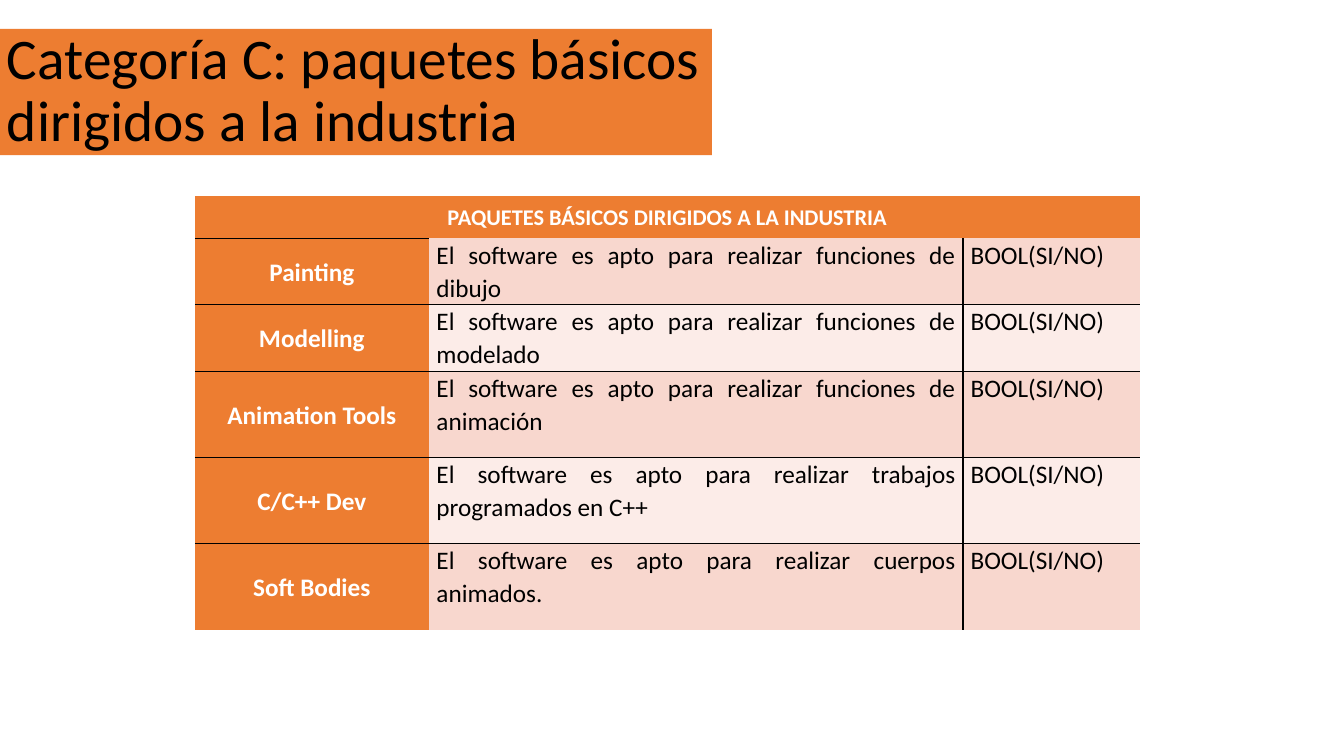
from dataclasses import dataclass

from lxml import etree
from pptx import Presentation
from pptx.dml.color import RGBColor
from pptx.enum.text import MSO_ANCHOR, MSO_AUTO_SIZE, PP_ALIGN
from pptx.oxml.ns import qn
from pptx.util import Cm, Pt

CENTER, JUSTIFY, LEFT = PP_ALIGN.CENTER, PP_ALIGN.JUSTIFY, PP_ALIGN.LEFT
TOP, MIDDLE = MSO_ANCHOR.TOP, MSO_ANCHOR.MIDDLE

TITLE = "Categoría C: paquetes básicos dirigidos a la industria"
HEADER = "PAQUETES BÁSICOS DIRIGIDOS A LA INDUSTRIA"
ANSWER = "BOOL(SI/NO)"
PACKAGES = [
    ("Painting", "El software es apto para realizar funciones de dibujo"),
    ("Modelling", "El software es apto para realizar funciones de modelado"),
    ("Animation Tools", "El software es apto para realizar funciones de animación"),
    ("C/C++ Dev", "El software es apto para realizar trabajos programados en C++"),
    ("Soft Bodies", "El software es apto para realizar cuerpos animados."),
]

SLIDE_SIZE = (33.87, 19.05)
TITLE_BOX = (-0.08, 0.73, 18.02, 3.18)
TABLE_CORNER = (4.91, 4.93)
COL_WIDTHS = (5.9, 13.46, 4.45)
ROW_HEIGHTS = (1.07, 1.68, 1.68, 2.17, 2.17, 2.17)


@dataclass(frozen=True)
class Theme:
    font: str = "Calibri"
    accent: str = "ED7D31"
    bands: tuple = ("F8D7CE", "FCECE8")
    dark: str = "000000"
    light: str = "FFFFFF"
    title_size: float = 41
    header_size: float = 16
    body_size: float = 18
    border: float = 1


THEME = Theme()


def paint(obj, color):
    obj.fill.solid()
    obj.fill.fore_color.rgb = RGBColor.from_string(color)


def write(tf, text, size, color, align, spacing, bold=False):
    tf.text = text
    p = tf.paragraphs[0]
    p.alignment, p.line_spacing = align, spacing
    font = p.runs[0].font
    font.name, font.size, font.bold = THEME.font, Pt(size), bold
    font.color.rgb = RGBColor.from_string(color)


def set_borders(cell, edges):
    """Draw the edges named by the letters L, R, T, B and clear the others."""
    tc_pr = cell._tc.get_or_add_tcPr()
    for edge in "LRTB":
        ln = etree.SubElement(tc_pr, qn(f"a:ln{edge}"), w=str(Pt(THEME.border)))
        if edge in edges:
            fill = etree.SubElement(ln, qn("a:solidFill"))
            etree.SubElement(fill, qn("a:srgbClr"), val=THEME.dark)
        else:
            etree.SubElement(ln, qn("a:noFill"))


def fill_cell(cell, text, fill, edges, size=THEME.body_size, heading=False):
    set_borders(cell, edges)
    paint(cell, fill)
    cell.margin_left = cell.margin_right = Cm(0.19)
    cell.margin_top = cell.margin_bottom = 0
    cell.vertical_anchor = MIDDLE if heading else TOP
    write(cell.text_frame, text, size, THEME.light if heading else THEME.dark,
          CENTER if heading else JUSTIFY, 1.07, heading)


def add_title(s):
    title = s.shapes.title
    title.left, title.top, title.width, title.height = map(Cm, TITLE_BOX)
    paint(title, THEME.accent)
    tf = title.text_frame
    tf.word_wrap, tf.auto_size = True, MSO_AUTO_SIZE.NONE
    tf.vertical_anchor = MIDDLE
    write(tf, TITLE, THEME.title_size, THEME.dark, LEFT, 0.9)


def add_package_table(s):
    table = s.shapes.add_table(
        len(ROW_HEIGHTS), len(COL_WIDTHS), *map(Cm, TABLE_CORNER),
        Cm(sum(COL_WIDTHS)), Cm(sum(ROW_HEIGHTS))).table
    for col, width in zip(table.columns, COL_WIDTHS):
        col.width = Cm(width)
    for row, height in zip(table.rows, ROW_HEIGHTS):
        row.height = Cm(height)

    header = table.cell(0, 0)
    header.merge(table.cell(0, len(COL_WIDTHS) - 1))
    fill_cell(header, HEADER, THEME.accent, "B", THEME.header_size, heading=True)

    for i, (name, description) in enumerate(PACKAGES):
        band = THEME.bands[i % 2]
        rules = ("T" if i else "") + ("B" if i < len(PACKAGES) - 1 else "")
        name_cell, text_cell, answer_cell = table.rows[i + 1].cells
        fill_cell(name_cell, name, THEME.accent, "T" + rules, heading=True)
        fill_cell(text_cell, description, band, "R" + rules)
        fill_cell(answer_cell, ANSWER, band, "L" + rules)


def main():
    prs = Presentation()
    prs.slide_width, prs.slide_height = map(Cm, SLIDE_SIZE)
    s = prs.slides.add_slide(prs.slide_layouts.get_by_name("Title Only"))
    add_package_table(s)
    add_title(s)
    prs.save("out.pptx")


if __name__ == "__main__":
    main()
